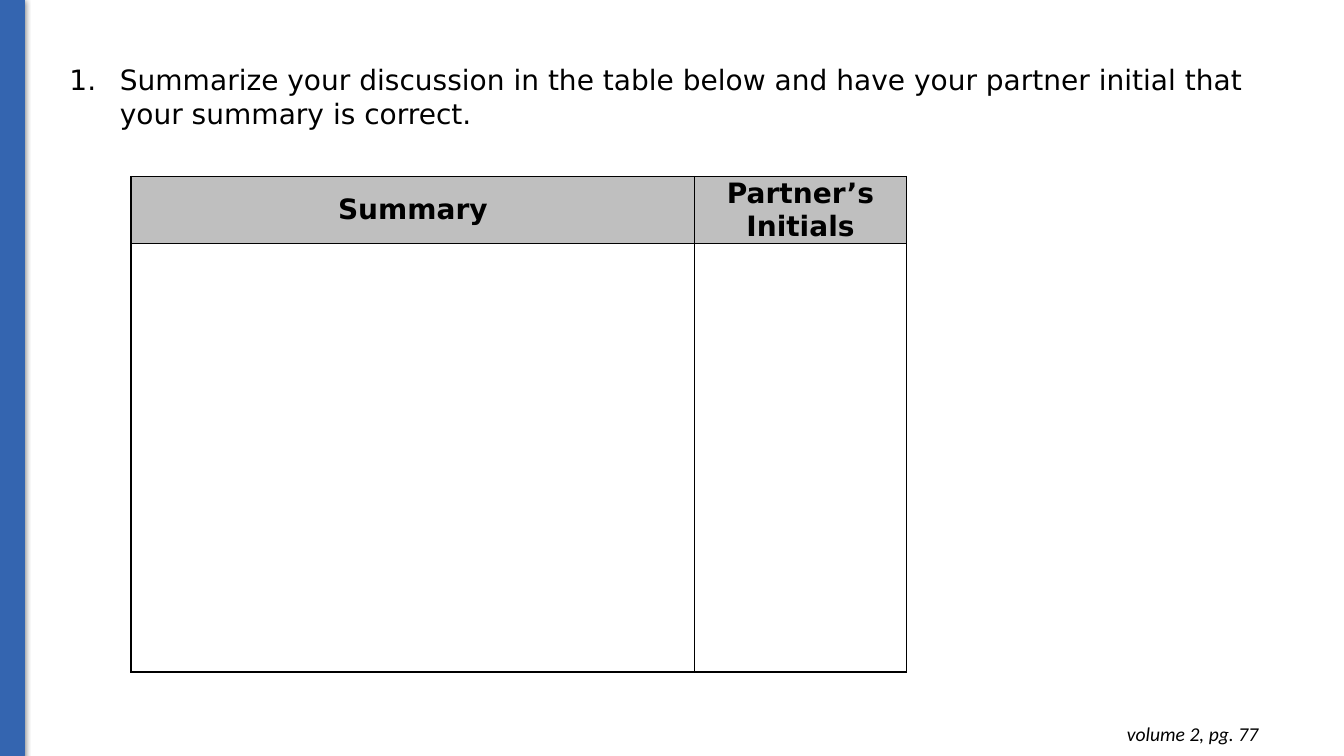
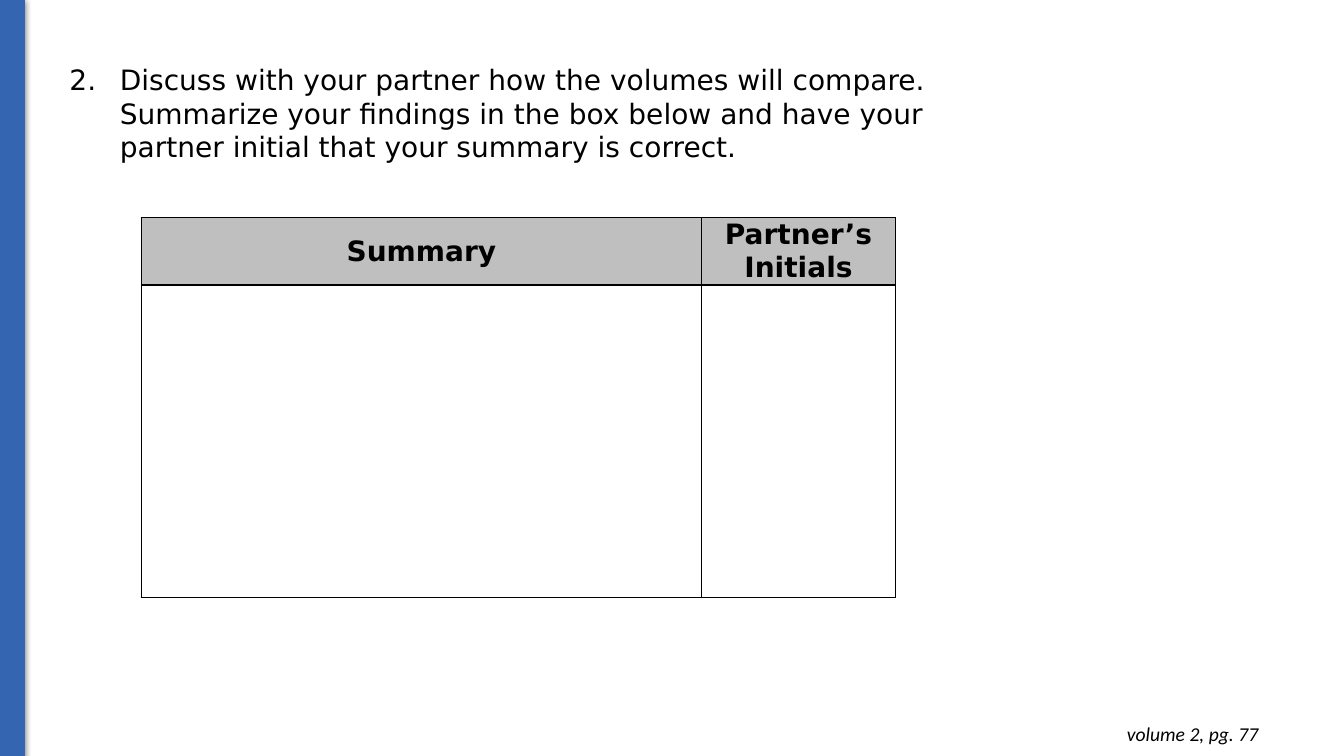
from lxml.etree import SubElement as Sub
from pptx import Presentation
from pptx.dml.color import RGBColor
from pptx.enum.shapes import MSO_SHAPE as Shape
from pptx.enum.text import MSO_ANCHOR as Anchor, PP_ALIGN as Align
from pptx.oxml.ns import qn
from pptx.util import Inches, Pt

BLUE, BLACK, GREY = "3465B0", "000000", "BFBFBF"
SANS = "DejaVu Sans"


def paint(item, color):
    item.solid()
    item.fore_color.rgb = RGBColor.from_string(color)


def style(par, size, face, bold=False, italic=False):
    font = par.font
    font.size, font.name = Pt(size), face
    font.bold, font.italic = bold, italic
    paint(font.fill, BLACK)


tasks = [
    dict(
        text="Summarize your discussion in the table below and have your partner initial that your summary is correct.",
        box=(11.99, 0.77), left=1.3, top=1.75, cols=(5.59, 2.1), rows=(0.66, 4.25), pad=0.06, after=0,
    ),
    dict(
        text="Discuss with your partner how the volumes will compare. Summarize your findings in the box below and have your partner initial that your summary is correct.",
        box=(9.11, 1.11), left=1.4, top=2.16, cols=(5.56, 1.92), rows=(0.66, 3.1), pad=0.07, after=8,
    ),
]

deck = Presentation()
deck.slide_width, deck.slide_height = Inches(13.33), Inches(7.5)

for number, task in enumerate(tasks, 1):
    slide = deck.slides.add_slide(deck.slide_layouts[6])
    shapes = slide.shapes

    band = shapes.add_shape(Shape.RECTANGLE, 0, Inches(-0.01), Inches(0.24), Inches(7.51))
    paint(band.fill, BLUE)
    paint(band.line.fill, BLUE)
    band.line.width = Pt(0.75)
    band.shadow.inherit = False
    effects = band._element.spPr.find(qn("a:effectLst"))
    shadow = Sub(effects, qn("a:outerShdw"), blurRad=str(Pt(4.5)), dist=str(Pt(1.5)),
                 dir="5400000", rotWithShape="0")
    shade = Sub(shadow, qn("a:srgbClr"), val=BLACK)
    Sub(shade, qn("a:alpha"), val="50000")

    frame = shapes.add_textbox(Inches(9.7), Inches(7.06), Inches(2.88), Inches(0.44)).text_frame
    frame.word_wrap = True
    frame.margin_top = frame.margin_bottom = Inches(0.1)
    par = frame.paragraphs[0]
    par.text, par.alignment = "volume 2, pg. 77", Align.RIGHT
    style(par, 14, "Calibri", italic=True)

    wide, high = task["box"]
    frame = shapes.add_textbox(Inches(0.59), Inches(0.57), Inches(wide), Inches(high)).text_frame
    frame.word_wrap = True
    par = frame.paragraphs[0]
    par.text = task["text"]
    props = par._p.get_or_add_pPr()
    props.set("marL", str(Inches(0.5)))
    props.set("indent", str(Inches(-0.5)))
    Sub(Sub(props, qn("a:buClr")), qn("a:srgbClr"), val=BLACK)
    Sub(props, qn("a:buFont"), typeface=SANS)
    Sub(props, qn("a:buAutoNum"), type="arabicPeriod", startAt=str(number))
    style(par, 20, SANS)

    cols, rows = task["cols"], task["rows"]
    table = shapes.add_table(2, 2, Inches(task["left"]), Inches(task["top"]),
                             Inches(sum(cols)), Inches(sum(rows))).table
    for col, width in zip(table.columns, cols):
        col.width = Inches(width)
    for row, height in zip(table.rows, rows):
        row.height = Inches(height)
    for cell in table.iter_cells():
        props = cell._tc.get_or_add_tcPr()
        for side in ("lnL", "lnR", "lnT", "lnB"):
            line = Sub(props, qn("a:" + side), w=str(Pt(1)))
            Sub(Sub(line, qn("a:solidFill")), qn("a:srgbClr"), val=BLACK)
        cell.fill.background()
    for col, head in enumerate(("Summary", "Partner’s Initials")):
        cell = table.cell(0, col)
        paint(cell.fill, GREY)
        cell.vertical_anchor = Anchor.MIDDLE
        cell.margin_left = cell.margin_right = Inches(task["pad"])
        cell.margin_top = cell.margin_bottom = 0
        par = cell.text_frame.paragraphs[0]
        par.text, par.alignment = head, Align.CENTER
        par.space_after = Pt(task["after"])
        style(par, 20, SANS, bold=True)

deck.save("out.pptx")
